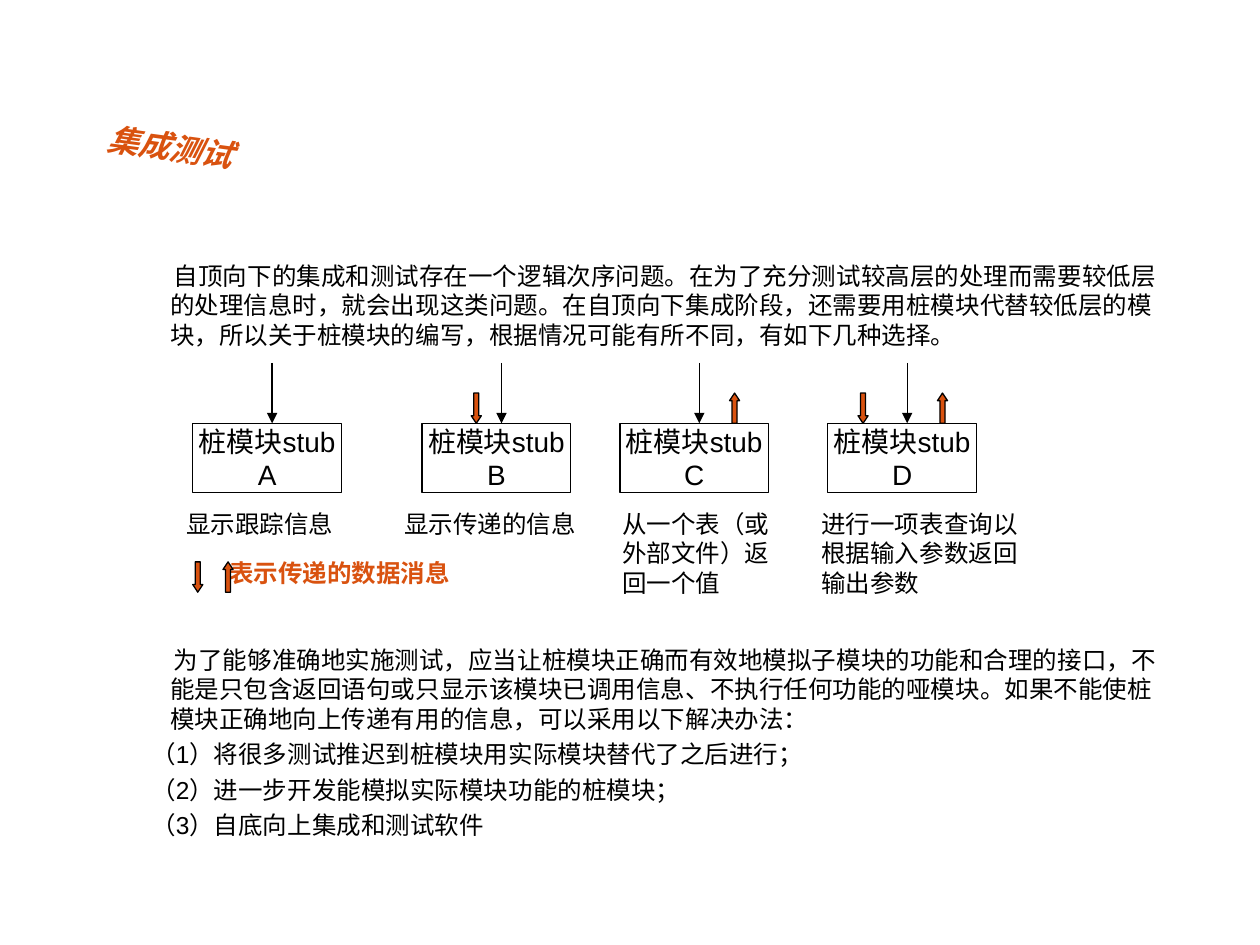
from lxml import etree
from pptx import Presentation
from pptx.dml.color import RGBColor
from pptx.enum.shapes import MSO_CONNECTOR, MSO_SHAPE
from pptx.enum.text import MSO_ANCHOR, MSO_AUTO_SIZE, PP_ALIGN
from pptx.oxml.ns import qn
from pptx.util import Inches, Pt

LEFT, CENTER = PP_ALIGN.LEFT, PP_ALIGN.CENTER
TOP, MIDDLE = MSO_ANCHOR.TOP, MSO_ANCHOR.MIDDLE
NO_AUTOFIT = MSO_AUTO_SIZE.NONE
STRAIGHT = MSO_CONNECTOR.STRAIGHT
RECTANGLE = MSO_SHAPE.RECTANGLE
DOWN, UP = MSO_SHAPE.DOWN_ARROW, MSO_SHAPE.UP_ARROW

COLORS = {"ink": "000000", "paper": "FFFFFF", "accent": "D9520F"}
FONT = "Arial"

INTRO = (
    "自顶向下的集成和测试存在一个逻辑次序问题。在为了充分测试较高层的处理而需要较低层"
    "的处理信息时，就会出现这类问题。在自顶向下集成阶段，还需要用桩模块代替较低层的模"
    "块，所以关于桩模块的编写，根据情况可能有所不同，有如下几种选择。"
)
ADVICE = (
    "为了能够准确地实施测试，应当让桩模块正确而有效地模拟子模块的功能和合理的接口，不"
    "能是只包含返回语句或只显示该模块已调用信息、不执行任何功能的哑模块。如果不能使桩"
    "模块正确地向上传递有用的信息，可以采用以下解决办法："
)
SOLUTIONS = [
    "（1）将很多测试推迟到桩模块用实际模块替代了之后进行；",
    "（2）进一步开发能模拟实际模块功能的桩模块；",
    "（3）自底向上集成和测试软件",
]
STUBS = [
    ("A", 1.53, [], "显示跟踪信息", (1.38, 3.99, 1.57, 0.34)),
    ("B", 3.35, [(DOWN, 0.39)], "显示传递的信息", (3.11, 3.99, 1.65, 0.34)),
    ("C", 4.92, [(UP, 0.87)], "从一个表（或外部文件）返回一个值", (4.84, 3.99, 1.5, 0.8)),
    ("D", 6.57, [(DOWN, 0.24), (UP, 0.87)],
     "进行一项表查询以根据输入参数返回输出参数", (6.42, 3.99, 1.81, 0.8)),
]


def rgb(name):
    """Return the palette colour with this name."""
    return RGBColor.from_string(COLORS[name])


def write(paragraph, text, size=14, color="ink", bold=False, italic=False,
          align=LEFT, before=0):
    """Put formatted text into a paragraph."""
    paragraph.alignment = align
    paragraph.space_before = Pt(before)
    run = paragraph.add_run()
    run.text = text
    font = run.font
    font.name, font.size, font.bold, font.italic = FONT, Pt(size), bold, italic
    font.color.rgb = rgb(color)


def place(shape, box):
    """Move a shape to a box given in inches."""
    shape.left, shape.top, shape.width, shape.height = map(Inches, box)


def set_frame(frame, anchor=TOP, wrap=True):
    """Fix the wrapping, anchor and sizing of a text frame."""
    frame.auto_size = NO_AUTOFIT
    frame.word_wrap = wrap
    frame.vertical_anchor = anchor


def add_title(slide, box):
    """Place the tilted slide title."""
    title = slide.shapes.title
    place(title, box)
    title.rotation = 7.7
    set_frame(title.text_frame)
    write(title.text_frame.paragraphs[0], "集成测试", size=18, color="accent",
          bold=True, italic=True)


def add_body(slide, box):
    """Fill the body, leaving room between its paragraphs for the stubs."""
    body = slide.placeholders[1]
    place(body, box)
    frame = body.text_frame
    set_frame(frame)
    frame.margin_top = Inches(0.29)
    entries = [(INTRO, 0.58, 0.03, 0), (ADVICE, 0.58, 0.03, 169)]
    entries += [(solution, 0.43, 0, 3.5) for solution in SOLUTIONS]
    for index, (text, margin, indent, before) in enumerate(entries):
        paragraph = frame.add_paragraph() if index else frame.paragraphs[0]
        write(paragraph, text, before=before)
        properties = paragraph._p.get_or_add_pPr()
        properties.set("marL", str(Inches(margin)))
        properties.set("indent", str(Inches(indent)))
        etree.SubElement(properties, qn("a:buNone"))


def add_label(slide, text, box, **text_format):
    """Add a wrapped text box."""
    label = slide.shapes.add_textbox(*map(Inches, box))
    set_frame(label.text_frame)
    write(label.text_frame.paragraphs[0], text, **text_format)


def add_outlined(slide, kind, box, fill):
    """Add a filled shape with a thin black outline."""
    shape = slide.shapes.add_shape(kind, *map(Inches, box))
    shape.shadow.inherit = False
    shape.fill.solid()
    shape.fill.fore_color.rgb = rgb(fill)
    shape.line.color.rgb = rgb("ink")
    shape.line.width = Pt(0.75)
    return shape


def add_message(slide, direction, left, top):
    """Add a small block arrow for a passed data message."""
    message = add_outlined(slide, direction, (left, top, 0.08, 0.24), "accent")
    message.adjustments[0] = 0.5
    message.adjustments[1] = 0.75


def add_call(slide, x, top, bottom):
    """Add the arrow that calls a stub."""
    call = slide.shapes.add_connector(
        STRAIGHT, Inches(x), Inches(top), Inches(x), Inches(bottom))
    call.line.color.rgb = rgb("ink")
    call.line.width = Pt(0.75)
    etree.SubElement(call.line._get_or_add_ln(), qn("a:tailEnd"), type="triangle")
    etree.SubElement(call._element.spPr, qn("a:effectLst"))


def add_stub(slide, box, letter, messages):
    """Draw one stub with its call arrow and data messages."""
    left, top = box[:2]
    add_call(slide, left + 0.63, top - 0.48, top)
    frame = add_outlined(slide, RECTANGLE, box, "paper").text_frame
    set_frame(frame, anchor=MIDDLE, wrap=False)
    write(frame.paragraphs[0], "桩模块stub", size=16, align=CENTER)
    write(frame.add_paragraph(), letter, size=16, align=CENTER)
    for direction, offset in messages:
        add_message(slide, direction, left + offset, top - 0.24)


def add_legend(slide, box):
    """Explain the block arrows."""
    left, top, width, height = box
    add_message(slide, DOWN, left, top + 0.08)
    add_label(slide, "表示传递的数据消息", (left + 0.19, top, width - 0.19, height),
              color="accent", bold=True)
    add_message(slide, UP, left + 0.24, top + 0.08)


def main():
    """Build and save the slide."""
    presentation = Presentation()
    presentation.slide_width, presentation.slide_height = Inches(10), Inches(7.5)
    slide = presentation.slides.add_slide(presentation.slide_layouts[1])
    add_title(slide, (0.75, 0.99, 1.59, 0.4))
    add_body(slide, (0.67, 1.78, 8.66, 5.14))
    for letter, left, messages, caption, caption_box in STUBS:
        add_stub(slide, (left, 3.36, 1.18, 0.55), letter, messages)
        add_label(slide, caption, caption_box)
    add_legend(slide, (1.53, 4.38, 3.08, 0.34))
    presentation.save("out.pptx")


if __name__ == "__main__":
    main()
